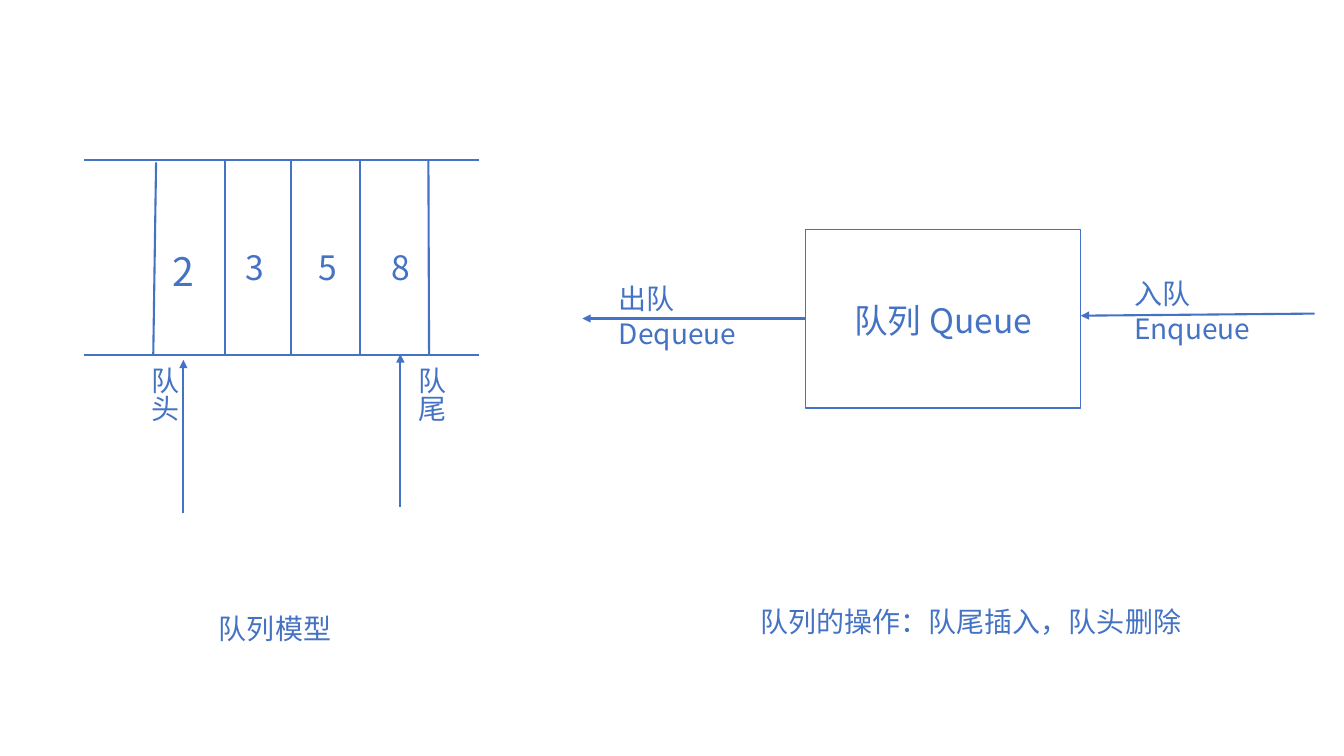
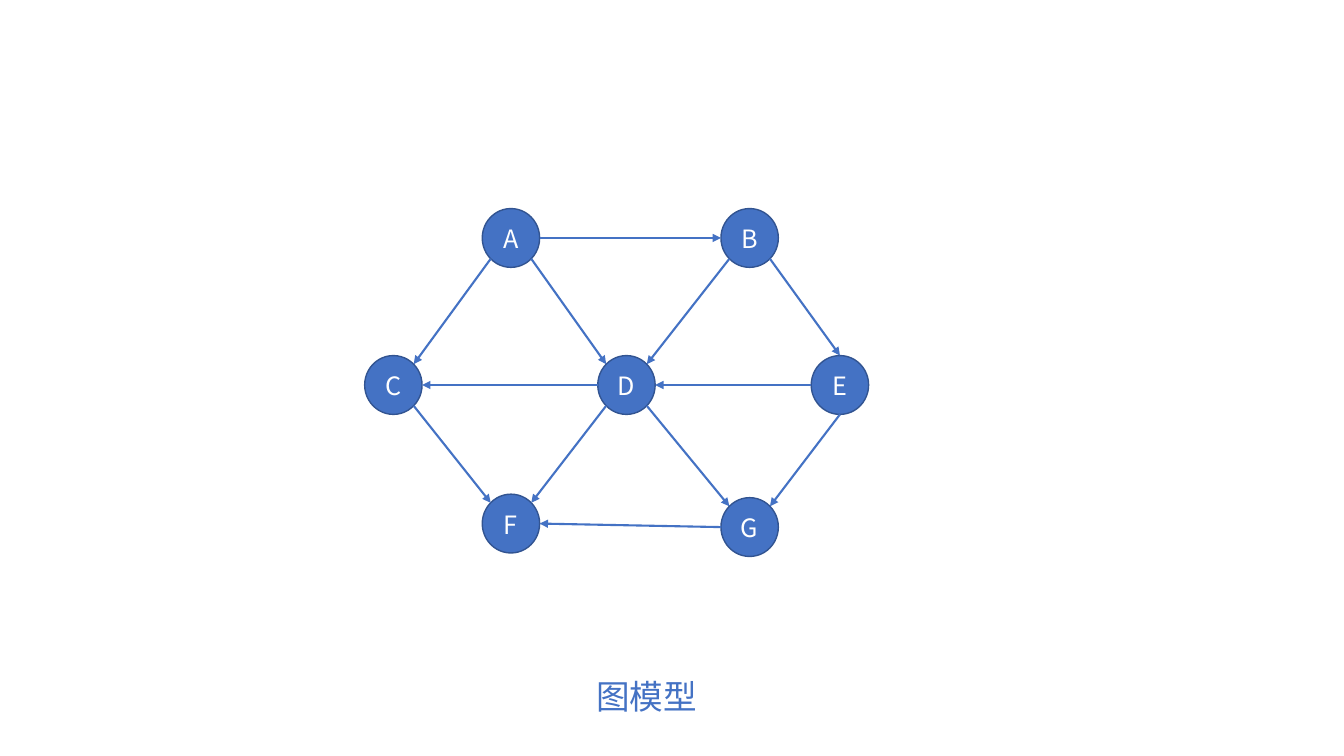
import math

import pptx
import pptx.dml.color
import pptx.enum.shapes
import pptx.enum.text
import pptx.oxml.ns
import pptx.util
from lxml import etree

Pt = pptx.util.Pt
RGBColor = pptx.dml.color.RGBColor
Shape = pptx.enum.shapes.MSO_SHAPE
Align = pptx.enum.text.PP_ALIGN
Anchor = pptx.enum.text.MSO_ANCHOR
qn = pptx.oxml.ns.qn

BLUE = RGBColor(0x44, 0x72, 0xC4)
NAVY = RGBColor(0x32, 0x54, 0x91)
WHITE = RGBColor(0xFF, 0xFF, 0xFF)
FONT = "Noto Sans CJK SC"
LEADING = 1.25


def write(slide, text, left, top, width, height, size=20, color=BLUE,
          align=Align.CENTER, wrap=True, vert=None,
          form=None, fill=None, edge=None):
    """Add text in a plain box, or inside a preset shape if form is given."""
    place = Pt(left), Pt(top), Pt(width), Pt(height)
    if form is None:
        box = slide.shapes.add_textbox(*place)
    else:
        box = slide.shapes.add_shape(form, *place)
        box.shadow.inherit = False
        box.fill.solid()
        box.fill.fore_color.rgb = fill
        box.line.color.rgb = edge
        box.line.width = Pt(1)
        box.text_frame.vertical_anchor = Anchor.MIDDLE
    frame = box.text_frame
    frame.word_wrap = wrap
    if vert:
        box.element.txBody.bodyPr.set("vert", vert)
    para = frame.paragraphs[0]
    para.alignment = align
    para.line_spacing = Pt(size * LEADING)
    run = para.add_run()
    run.text = text
    run.font.size = Pt(size)
    run.font.name = FONT
    run.font.color.rgb = color
    props = run.font._element
    props.find(qn("a:latin")).addnext(
        etree.Element(qn("a:ea"), typeface=FONT))


def draw(slide, start, end, arrow=False):
    """Add a blue line between two points, with a head at the end if asked."""
    line = slide.shapes.add_connector(
        pptx.enum.shapes.MSO_CONNECTOR.STRAIGHT,
        *[Pt(value) for value in (*start, *end)])
    line.line.color.rgb = BLUE
    line.line.width = Pt(1.5)
    if arrow:
        etree.SubElement(line.line._get_or_add_ln(), qn("a:tailEnd"),
                         type="triangle")
    etree.SubElement(line.element.spPr, qn("a:effectLst"))


deck = pptx.Presentation()
deck.slide_width = Pt(960)
deck.slide_height = Pt(540)
blank = deck.slide_layouts[6]

# Slide 1: queue model and its operations
queue = deck.slides.add_slide(blank)

ROOF, FLOOR = 114.5, 253.5
for y in (ROOF, FLOOR):
    draw(queue, (60, y), (342, y))
for foot, head, top in ((109.5, 111.5, 116), (160.5, 160.5, ROOF),
                        (208, 208, ROOF), (257, 257, ROOF),
                        (306.5, 306, ROOF)):
    draw(queue, (foot, FLOOR), (head, top))

for index, (digit, size) in enumerate(
        (("2", 28), ("3", 24), ("5", 24), ("8", 24))):
    write(queue, digit, 116 + 52 * index, 171.5, 28, 36, size=size, wrap=False)

for label, left, x, low, high in (("队头", 95, 131, 366.5, 257),
                                  ("队尾", 286, 286, 362, 253)):
    draw(queue, (x, low), (x, high), arrow=True)
    write(queue, label, left, 255, 39, 129, align=Align.LEFT, vert="eaVert")

write(queue, "队列 Queue", 575.5, 164, 196.5, 127.5, size=24,
      form=Shape.RECTANGLE, fill=WHITE, edge=BLUE)
for label, left, top, start, end in (
        ("出队 Dequeue", 435, 196.5, (575.5, 227.5), (416, 227.5)),
        ("入队 Enqueue", 803, 193, (939, 224), (772, 225.5))):
    draw(queue, start, end, arrow=True)
    write(queue, label, left, top, 115, 56, align=Align.LEFT)

for label, left, top in (("队列模型", -17, 432),
                         ("队列的操作：队尾插入，队头删除", 480, 427)):
    write(queue, label, left, top, 427, 32)

# Slide 2: graph model
graph = deck.slides.add_slide(blank)

WIDE, TALL = 41, 42
NODES = {"A": (365, 170), "B": (535.5, 170), "C": (281, 275),
         "D": (447.5, 275), "E": (600, 275), "F": (365, 374),
         "G": (535.5, 376.5)}
COMPASS = ("E", "SE", "S", "SW", "W", "NW", "N", "NE")
EDGES = ("A SE D NW", "A E B W", "B SW D NE", "B SE E N", "E S G NE",
         "D SW F NE", "A SW C NE", "D SE G NW", "D W C E", "G W F E",
         "E W D E", "C SE F NW")

for name, (x, y) in NODES.items():
    write(graph, name, x - WIDE / 2, y - TALL / 2, WIDE, TALL, size=18,
          color=WHITE, wrap=False, form=Shape.OVAL, fill=BLUE, edge=NAVY)

for edge in EDGES:
    words = edge.split()
    ends = []
    for name, side in (words[:2], words[2:]):
        x, y = NODES[name]
        angle = math.radians(45 * COMPASS.index(side))
        ends.append((x + WIDE / 2 * math.cos(angle),
                     y + TALL / 2 * math.sin(angle)))
    draw(graph, *ends, arrow=True)

write(graph, "图模型", 120, 478, 684, 36, size=24)

deck.save("out.pptx")
